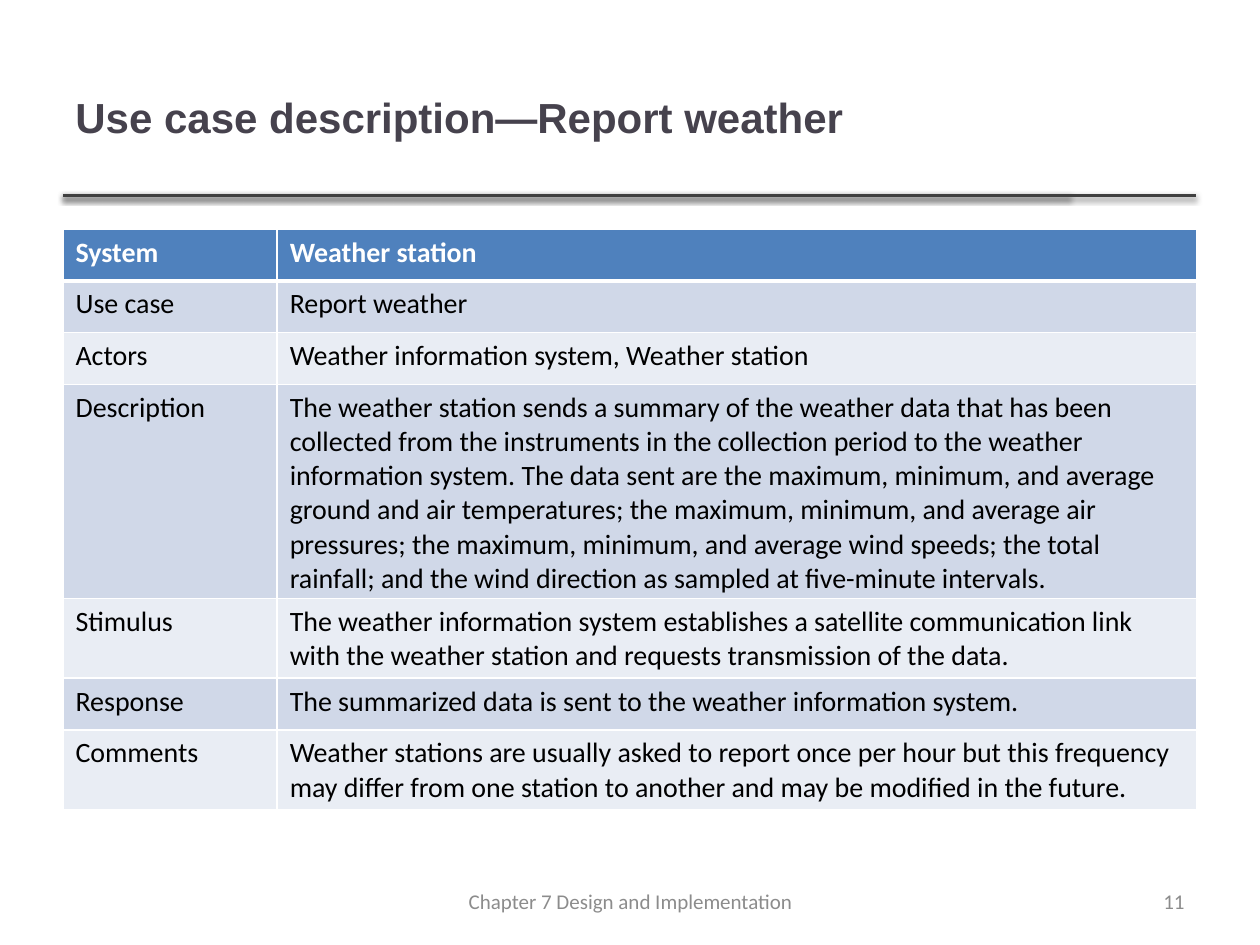
from lxml.etree import SubElement
from pptx import Presentation
from pptx.dml.color import RGBColor
from pptx.enum.shapes import MSO_CONNECTOR as Connector
from pptx.enum.text import MSO_ANCHOR as Anchor, PP_ALIGN as Align
from pptx.oxml.ns import qn
from pptx.util import Emu, Pt

EMU_PER_PX = 9144  # 100 px to the inch

USE_CASE = [
    ("System", "Weather station"),
    ("Use case", "Report weather"),
    ("Actors", "Weather information system, Weather station"),
    ("Description",
     "The weather station sends a summary of the weather data that has been "
     "collected from the instruments in the collection period to the weather "
     "information system. The data sent are the maximum, minimum, and average "
     "ground and air temperatures; the maximum, minimum, and average air "
     "pressures; the maximum, minimum, and average wind speeds; the total "
     "rainfall; and the wind direction as sampled at five-minute intervals."),
    ("Stimulus",
     "The weather information system establishes a satellite communication "
     "link with the weather station and requests transmission of the data."),
    ("Response",
     "The summarized data is sent to the weather information system."),
    ("Comments",
     "Weather stations are usually asked to report once per hour but this "
     "frequency may differ from one station to another and may be modified "
     "in the future."),
]


def px(length):
    return Emu(length * EMU_PER_PX)


def color(value):
    return RGBColor.from_string(value)


class SlideBuilder:
    TITLE = {"name": "Arial", "size": Pt(24), "bold": True, "color": "46424D"}
    HEADER = {"name": "Calibri", "size": Pt(16), "bold": True, "color": "FFFFFF"}
    BODY = HEADER | {"bold": False, "color": "000000"}
    FOOTER = BODY | {"size": Pt(12), "color": "8C8C8C"}
    HEADER_FILL = "4F81BD"
    BAND_FILLS = ("E9EDF4", "D0D8E8")
    RULE, BORDER, SHADOW = "404040", "FFFFFF", "000000"

    def __init__(self, slide):
        self.slide = slide

    def add_words(self, frame, words, style, align=Align.LEFT):
        paragraph = frame.paragraphs[0]
        paragraph.alignment = align
        run = paragraph.add_run()
        run.text = words
        for key, value in style.items():
            if key == "color":
                run.font.color.rgb = color(value)
            else:
                setattr(run.font, key, value)

    def text(self, box, words, style, align=Align.LEFT):
        frame = self.slide.shapes.add_textbox(*map(px, box)).text_frame
        frame.word_wrap = True
        frame.vertical_anchor = Anchor.MIDDLE
        self.add_words(frame, words, style, align)

    def rule(self, left, right, y):
        """Draw a horizontal line with a soft shadow below it."""
        line = self.slide.shapes.add_connector(
            Connector.STRAIGHT, px(left), px(y), px(right), px(y))
        line.line.color.rgb = color(self.RULE)
        line.line.width = Pt(2)
        effects = SubElement(line._element.spPr, qn("a:effectLst"))
        shadow = SubElement(effects, qn("a:outerShdw"), blurRad=str(Pt(3.1)),
                            dist=str(Pt(1.6)), dir="5400000", rotWithShape="0")
        tint = SubElement(shadow, qn("a:srgbClr"), val=self.SHADOW)
        SubElement(tint, qn("a:alpha"), val="38000")

    def borders(self, cell, **widths):
        """Set the cell's edges to 1 pt, or to the widths given by side."""
        properties = cell._tc.get_or_add_tcPr()
        for side in "LRTB":
            edge = SubElement(properties, qn(f"a:ln{side}"),
                              w=str(Pt(widths.get(side, 1))))
            fill = SubElement(edge, qn("a:solidFill"))
            SubElement(fill, qn("a:srgbClr"), val=self.BORDER)

    def table(self, left, top, widths, row_height, rows):
        table = self.slide.shapes.add_table(
            len(rows), len(widths), px(left), px(top),
            px(sum(widths)), px(row_height * len(rows))).table
        for column, width in zip(table.columns, widths):
            column.width = px(width)
        heavy_edges = {0: {"B": 3}, 1: {"T": 3}}
        for r, row in enumerate(rows):
            style = self.BODY if r else self.HEADER
            fill = self.BAND_FILLS[r % 2] if r else self.HEADER_FILL
            for c, words in enumerate(row):
                cell = table.cell(r, c)
                self.borders(cell, **heavy_edges.get(r, {}))
                cell.fill.solid()
                cell.fill.fore_color.rgb = color(fill)
                self.add_words(cell.text_frame, words, style)


def main():
    deck = Presentation()
    deck.slide_width, deck.slide_height = px(1000), px(750)
    page = SlideBuilder(deck.slides.add_slide(deck.slide_layouts[6]))
    for right in (849, 949):
        page.rule(50, right, 155)
    page.text((50, 30, 798, 125), "Use case description—Report weather", page.TITLE)
    page.table(50, 182, (170, 730), 41, USE_CASE)
    page.text((342, 695, 317, 40), "Chapter 7 Design and Implementation",
              page.FOOTER, Align.CENTER)
    page.text((717, 695, 233, 40), "11", page.FOOTER, Align.RIGHT)
    deck.save("out.pptx")


if __name__ == "__main__":
    main()
